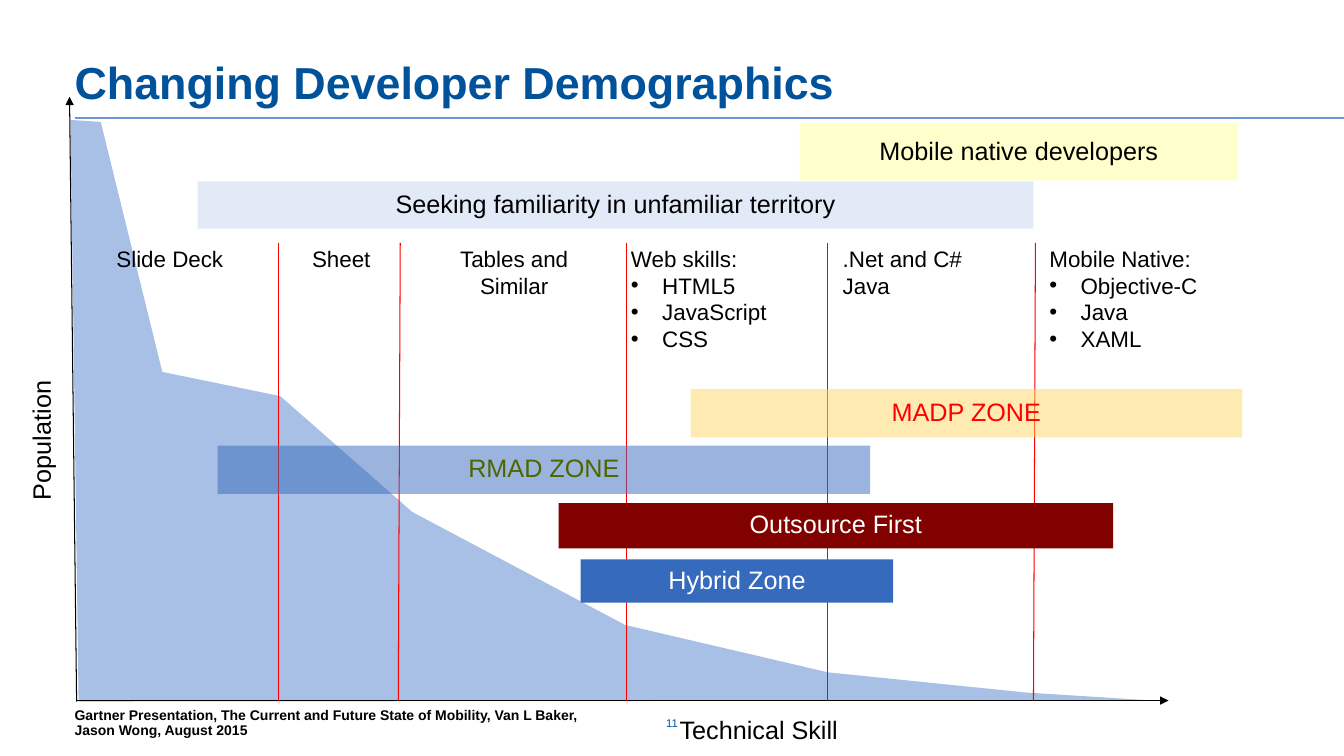
from lxml import etree
from pptx import Presentation
from pptx.dml.color import RGBColor
from pptx.enum.shapes import MSO_CONNECTOR, MSO_SHAPE
from pptx.enum.text import MSO_ANCHOR, PP_ALIGN
from pptx.oxml.ns import qn
from pptx.util import Inches, Pt

LEFT, CENTER = PP_ALIGN.LEFT, PP_ALIGN.CENTER
TOP, MIDDLE, BOTTOM = MSO_ANCHOR.TOP, MSO_ANCHOR.MIDDLE, MSO_ANCHOR.BOTTOM
RECTANGLE, STRAIGHT = MSO_SHAPE.RECTANGLE, MSO_CONNECTOR.STRAIGHT

SLIDE_W, SLIDE_H = 13.33, 7.5
FONT = "Arial"
COLORS = {
    "black": "000000", "white": "FFFFFF", "red": "FF0000", "title": "00529B",
    "rule": "6E96D5", "curve": "A8C0E6", "cream": "FFFFCC", "pale": "E2EAF7",
    "amber": "FFD966", "blue": "366ABC", "maroon": "810000", "olive": "4D6600",
}

TITLE = "Changing Developer Demographics"
SOURCE = ("Gartner Presentation, The Current and Future State of Mobility, "
          "Van L Baker, Jason Wong, August 2015")
PAGE_NUMBER = "11"
POPULATION, SKILL = "Population", "Technical Skill"

BASELINE = 6.95
DIVIDER_TOP = 2.41
LABEL_TOP = 2.38
MARGIN = 0.74
BULLET_INDENT = 0.31

POPULATION_CURVE = [
    (11.43, BASELINE), (10.17, 6.87), (8.21, 6.67), (6.2, 6.2), (4.09, 5.08),
    (2.78, 3.93), (1.61, 3.69), (1, 1.21), (0.7, 1.19), (0.78, 6.96),
]
# x at the top and at the baseline
DIVIDERS = [(2.76, 2.76), (3.97, 3.95), (6.21, 6.21), (8.21, 8.21), (10.27, 10.25)]

# heading, bulleted skills, left, width, alignment
SKILL_GROUPS = [
    ("Slide Deck", [], 1.01, 1.35, CENTER),
    ("Sheet", [], 2.88, 1.01, CENTER),
    ("Tables and\vSimilar", [], 4.42, 1.36, CENTER),
    ("Web skills:", ["HTML5", "JavaScript", "CSS"], 6.16, 1.56, LEFT),
    (".Net and C#\vJava", [], 8.26, 1.4, LEFT),
    ("Mobile Native:", ["Objective-C", "Java", "XAML"], 10.31, 1.69, LEFT),
]
# label, box, fill, text colour, opacity in percent
ZONES = [
    ("Mobile native developers", (7.93, 1.23, 4.35, 0.56), "cream", "black", 100),
    ("Seeking familiarity in unfamiliar territory", (1.96, 1.8, 8.29, 0.47),
     "pale", "black", 100),
    ("MADP ZONE", (6.85, 3.86, 5.47, 0.48), "amber", "red", 50),
    ("RMAD ZONE", (2.16, 4.42, 6.47, 0.48), "blue", "olive", 50),
    ("Outsource First", (5.54, 4.99, 5.5, 0.45), "maroon", "white", 100),
    ("Hybrid Zone", (5.76, 5.55, 3.1, 0.43), "blue", "white", 100),
]

prs = Presentation()
prs.slide_width, prs.slide_height = Inches(SLIDE_W), Inches(SLIDE_H)
slide = prs.slides.add_slide(prs.slide_layouts[6])
shapes = slide.shapes


def rgb(color):
    return RGBColor.from_string(COLORS[color])


def write(shape, text, bullets=(), size=18, color="black", bold=False, align=CENTER,
          anchor=TOP, spacing=1.0, wrap=True, insets=(0.1, 0.05, 0.1, 0.05)):
    frame = shape.text_frame
    frame.word_wrap = wrap
    frame.vertical_anchor = anchor
    (frame.margin_left, frame.margin_top,
     frame.margin_right, frame.margin_bottom) = map(Inches, insets)
    for index, line in enumerate([text, *bullets]):
        paragraph = frame.add_paragraph() if index else frame.paragraphs[0]
        paragraph.text = line
        paragraph.alignment = align
        paragraph.line_spacing = spacing
        if index:
            props = paragraph._p.get_or_add_pPr()
            props.set("marL", str(Inches(BULLET_INDENT)))
            props.set("indent", str(-Inches(BULLET_INDENT)))
            etree.SubElement(props, qn("a:buFont"), typeface=FONT)
            etree.SubElement(props, qn("a:buChar"), char="•")
        for run in paragraph.runs:
            run.font.name, run.font.size, run.font.bold = FONT, Pt(size), bold
            run.font.color.rgb = rgb(color)


def add_text(box, text, rotation=0, **style):
    label = shapes.add_textbox(*map(Inches, box))
    label.rotation = rotation
    write(label, text, **style)


def add_line(start, end, color="black", width=0.75, arrow=False):
    line = shapes.add_connector(STRAIGHT, *map(Inches, (*start, *end)))
    line.line.color.rgb = rgb(color)
    line.line.width = Pt(width)
    if arrow:
        etree.SubElement(line.line._get_or_add_ln(), qn("a:tailEnd"), type="triangle")
    etree.SubElement(line._element.spPr, qn("a:effectLst"))


def paint(shape, color, opacity=100):
    shape.shadow.inherit = False
    shape.fill.solid()
    shape.fill.fore_color.rgb = rgb(color)
    shape.line.fill.background()
    if opacity < 100:
        tint = shape._element.spPr.find(qn("a:solidFill"))[0]
        etree.SubElement(tint, qn("a:alpha"), val=str(opacity * 1000))


def add_zone(label, box, fill, color, opacity):
    zone = shapes.add_shape(RECTANGLE, *map(Inches, box))
    paint(zone, fill, opacity)
    write(zone, label, color=color, anchor=MIDDLE, spacing=0.9)


add_text((MARGIN, 7.02, 5.35, 0.31), SOURCE, size=10, bold=True, align=LEFT,
         anchor=BOTTOM, spacing=0.9, insets=(0, 0, 0, 0))
add_line((MARGIN, 1.17), (SLIDE_W, 1.17), color="rule", width=1)
add_text((MARGIN, 0.37, 11.86, 0.81), TITLE, size=32, color="title", bold=True,
         align=LEFT, anchor=BOTTOM, spacing=0.9, insets=(0, 0.1, 0.1, 0.1))
add_text((6.33, 7.03, 0.67, 0.21), PAGE_NUMBER, size=8, color="title",
         anchor=BOTTOM, insets=(0.1, 0.05, 0.1, 0))

curve_start, *curve_rest = [(Inches(x), Inches(y)) for x, y in POPULATION_CURVE]
outline = shapes.build_freeform(*curve_start)
outline.add_line_segments(curve_rest, close=True)
paint(outline.convert_to_shape(), "curve")

add_line((0.76, BASELINE), (11.59, BASELINE), arrow=True)
add_text((6.63, 7.07, 1.79, 0.38), SKILL, spacing=0.9, wrap=False)
add_line((0.76, 6.96), (0.69, 0.96), arrow=True)
add_text((-0.61, 4.18, 2.08, 0.38), POPULATION, rotation=270, spacing=0.9)

for top_x, base_x in DIVIDERS:
    add_line((top_x, DIVIDER_TOP), (base_x, BASELINE), color="red")

for heading, skills, left, width, align in SKILL_GROUPS:
    lines = 1 + len(skills) + heading.count("\v")
    add_text((left, LABEL_TOP, width, 0.1 + 0.27 * lines), heading, bullets=skills,
             size=16, align=align, wrap=False)

for zone in ZONES:
    add_zone(*zone)

prs.save("out.pptx")
